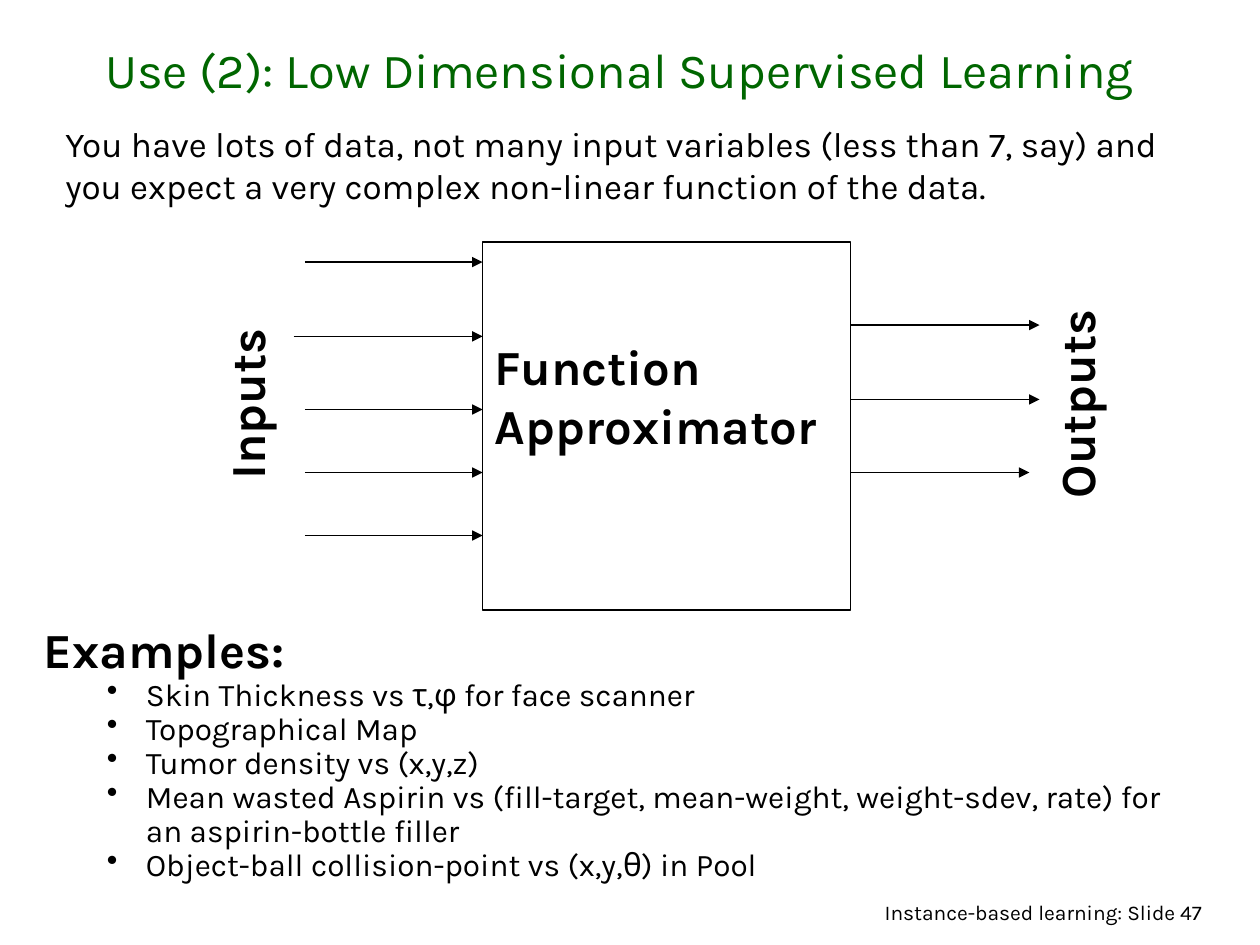
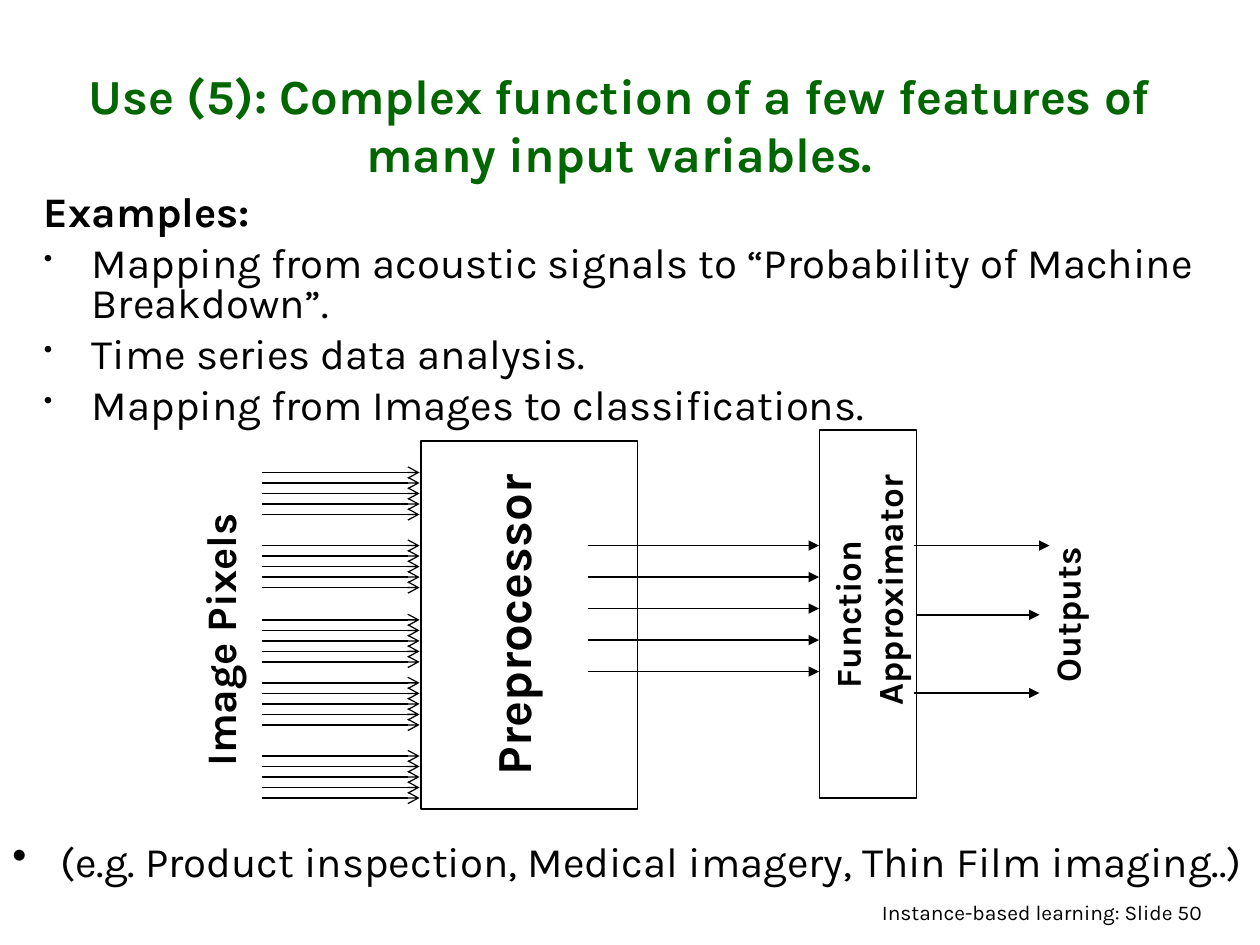
from pptx import Presentation
from pptx.dml.color import RGBColor
from pptx.enum.shapes import MSO_CONNECTOR, MSO_SHAPE
from pptx.enum.text import MSO_ANCHOR, PP_ALIGN
from pptx.oxml.ns import qn
from pptx.util import Inches, Pt
from lxml import etree

BLACK = RGBColor(0, 0, 0)
GREEN = RGBColor(0, 0x66, 0)
FONT = "Karla"
LEFT, CENTER, RIGHT = PP_ALIGN.LEFT, PP_ALIGN.CENTER, PP_ALIGN.RIGHT
TOP, BOTTOM = MSO_ANCHOR.TOP, MSO_ANCHOR.BOTTOM
RECT = MSO_SHAPE.RECTANGLE
STRAIGHT = MSO_CONNECTOR.STRAIGHT
HANG = 0.38
STEP = 1 / 12


def set_frame(shape, anchor=TOP, inset=0.05):
    frame = shape.text_frame
    frame.word_wrap = True
    frame.vertical_anchor = anchor
    frame.margin_top = Inches(inset)
    return frame


def set_hang(para, left, first):
    props = para._p.get_or_add_pPr()
    props.set("marL", str(Inches(left)))
    props.set("indent", str(Inches(first)))
    return props


def add_bullet(para, left, first, scale):
    props = set_hang(para, left, first)
    color = etree.SubElement(props, qn("a:buClr"))
    etree.SubElement(color, qn("a:srgbClr"), val=str(BLACK))
    etree.SubElement(props, qn("a:buSzPct"), val=str(scale * 1000))
    etree.SubElement(props, qn("a:buChar"), char="•")


def write(para, text, size, bold=False, color=BLACK, align=LEFT):
    para.alignment = align
    run = para.add_run()
    run.text = text
    run.font.name = FONT
    run.font.size = Pt(size)
    run.font.bold = bold
    run.font.color.rgb = color


def add_text(slide, box, text, size, bold=False, color=BLACK, align=LEFT, anchor=TOP):
    shape = slide.shapes.add_textbox(*map(Inches, box))
    para = set_frame(shape, anchor).paragraphs[0]
    write(para, text, size, bold, color, align)
    return shape


def add_label(slide, box, text, size):
    """Bold text that reads upwards."""
    shape = add_text(slide, box, text, size, True, align=CENTER)
    set_hang(shape.text_frame.paragraphs[0], HANG, -HANG)
    shape.rotation = 270


def add_block(slide, box, text, size, inset=0.05, turned=False):
    """Outlined box of the diagram, with its text set down by inset."""
    shape = slide.shapes.add_shape(RECT, *map(Inches, box))
    shape.shadow.inherit = False
    shape.fill.background()
    shape.line.color.rgb = BLACK
    shape.line.width = Pt(1)
    para = set_frame(shape, inset=inset).paragraphs[0]
    if turned:
        shape.rotation = 270
        set_hang(para, HANG, -HANG)
    write(para, text, size, True, align=CENTER if turned else LEFT)
    return shape


def add_arrow(slide, x1, x2, y, head="triangle"):
    line = slide.shapes.add_connector(
        STRAIGHT, Inches(x1), Inches(y), Inches(x2), Inches(y))
    line.line.color.rgb = BLACK
    line.line.width = Pt(0.75)
    etree.SubElement(line.line._get_or_add_ln(), qn("a:tailEnd"), type=head)
    etree.SubElement(line._element.spPr, qn("a:effectLst"))
    return line


def add_list(slide, box, head, items, head_size, size, left, first, line, gap, scale):
    """Bold heading with bulleted items below it."""
    shape = add_text(slide, box, head, head_size, True)
    frame = shape.text_frame
    frame.paragraphs[0].line_spacing = line
    for item in items:
        para = frame.add_paragraph()
        add_bullet(para, left, first, scale)
        para.line_spacing = line
        para.space_before = Pt(gap)
        write(para, item, size)


def add_page(deck, number, title, height, bold):
    slide = deck.slides.add_slide(deck.slide_layouts[6])
    add_text(slide, (5.72, 7.09, 3.92, 0.33),
             f"Instance-based learning: Slide {number}", 12, align=RIGHT)
    add_text(slide, (0.25, 0.25, 9.33, height), title, 28, bold, GREEN, CENTER, BOTTOM)
    return slide


def build_low(deck):
    slide = add_page(deck, 47, "Use (2): Low Dimensional Supervised Learning", 0.58, False)
    add_list(slide, (0.25, 4.92, 9.38, 2.17), "Examples:", [
        "Skin Thickness vs τ,φ for face scanner",
        "Topographical Map",
        "Tumor density vs (x,y,z)",
        "Mean wasted Aspirin vs (fill-target, mean-weight, weight-sdev, rate) "
        "for an aspirin-bottle filler",
        "Object-ball collision-point vs (x,y,θ) in Pool",
    ], 28, 18, 0.81, -0.31, 0.9, 0, 100)
    add_text(slide, (0.42, 0.92, 9, 0.77),
             "You have lots of data, not many input variables (less than 7, say) and "
             "you expect a very complex non-linear function of the data.", 20)
    add_label(slide, (0.83, 2.92, 2.25, 0.57), "Inputs", 28)
    add_label(slide, (7.08, 2.92, 2.92, 0.57), "Outputs", 28)
    add_block(slide, (3.83, 1.92, 2.92, 2.92), "Function Approximator", 28, 0.75)
    for end, y in ((8.25, 2.58), (8.25, 3.17), (8.17, 3.75)):
        add_arrow(slide, 6.75, end, y)
    for start, y in ((2.42, 2.08), (2.33, 2.67), (2.42, 3.25), (2.42, 3.75), (2.42, 4.25)):
        add_arrow(slide, start, 3.83, y)


def build_complex(deck):
    slide = add_page(
        deck, 50, "Use (5): Complex function of a few features of many input variables.",
        1.25, True)
    add_list(slide, (0.25, 1.5, 9.38, 2), "Examples:", [
        "Mapping from acoustic signals to “Probability of Machine Breakdown”.",
        "Time series data analysis.",
        "Mapping from Images to classifications.",
    ], 24, 24, HANG, -HANG, 0.8, 6, 60)
    add_label(slide, (0.33, 4.83, 2.83, 0.5), "Image Pixels", 24)
    add_block(slide, (2.74, 4.1, 2.92, 1.72), "Preprocessor", 28, 0.49, True)
    model = add_block(slide, (5.43, 4.49, 2.92, 0.77), "Function Approximator", 20,
                      turned=True)
    add_label(slide, (7.43, 4.66, 2.08, 0.44), "Outputs", 20)

    middle = add_arrow(slide, 7.28, 8.25, 4.88)
    # The block is turned, so its bottom site faces right.
    middle.begin_connect(model, 2)
    middle.begin_x, middle.begin_y = Inches(7.28), Inches(4.88)
    for end, y in ((8.33, 4.33), (8.25, 5.5)):
        add_arrow(slide, 7.25, end, y)
    for i in range(5):
        add_arrow(slide, 4.67, 6.5, 4.33 + i * 0.25)
    for top in (3.75, 4.33, 4.92, 5.42, 6):
        for i in range(5):
            add_arrow(slide, 2.08, 3.33, top + i * STEP, "arrow")

    note = add_text(slide, (0, 6.58, 10, 0.9),
                    "(e.g. Product inspection, Medical imagery, Thin Film imaging..)", 24)
    add_bullet(note.text_frame.paragraphs[0], HANG, -HANG, 100)


def main():
    deck = Presentation()
    deck.slide_width, deck.slide_height = Inches(10), Inches(7.5)
    build_low(deck)
    build_complex(deck)
    deck.save("out.pptx")


if __name__ == "__main__":
    main()
